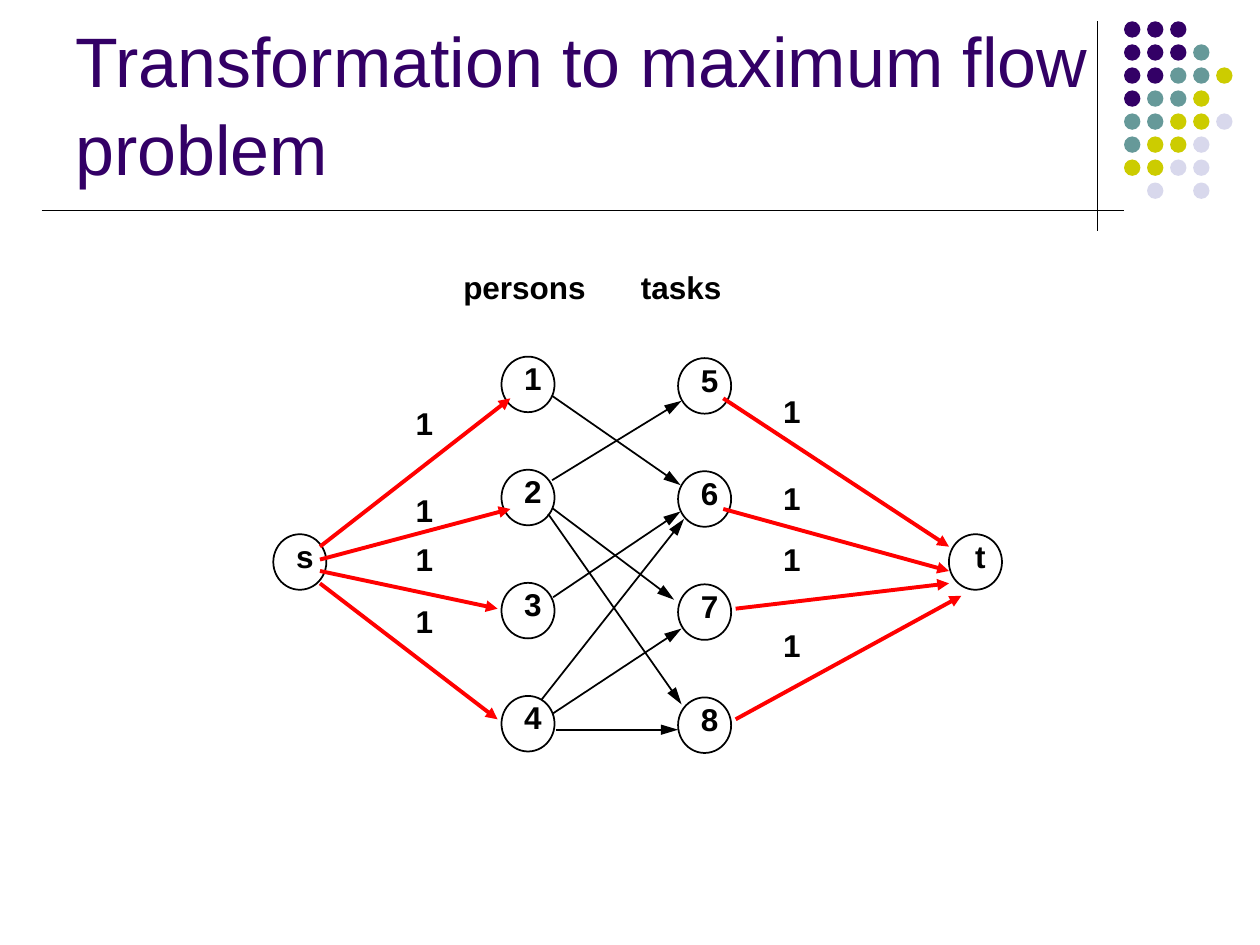
from pptx import Presentation
from pptx.dml.color import RGBColor
from pptx.enum.shapes import MSO_CONNECTOR, MSO_SHAPE
from pptx.enum.text import MSO_ANCHOR, PP_ALIGN
from pptx.oxml.ns import qn
from pptx.util import Cm, Pt
from lxml import etree

OVAL = MSO_SHAPE.OVAL
STRAIGHT = MSO_CONNECTOR.STRAIGHT
TOP, MIDDLE, BOTTOM = MSO_ANCHOR.TOP, MSO_ANCHOR.MIDDLE, MSO_ANCHOR.BOTTOM
CENTER = PP_ALIGN.CENTER

FONT = "Arial"
COLORS = {
    "ink": "000000",
    "paper": "FFFFFF",
    "flow": "FF0000",
    "purple": "330066",
    "teal": "669999",
    "olive": "CCCC00",
    "lilac": "D8D8EC",
}

# Corner ornament: one letter per dot
DOT_ROWS = ["PPP", "PPPT", "PPTTY", "PTTY", "TTYYL", "TYYL", "YYLL", " L L"]
DOT_COLORS = {"P": "purple", "T": "teal", "Y": "olive", "L": "lilac"}
DOT_LEFT, DOT_TOP, DOT_SIZE = 22.66, 0.43, 0.33
DOT_PITCH = 3.25 / (len(DOT_ROWS) - 1)

# Network geometry in centimetres
NODE_W, NODE_H, NODE_PITCH = 1.07, 1.12, 2.28
COLUMNS = [(10.11, 7.19, "1234"), (13.67, 7.22, "5678"),
           (5.51, 10.77, "s"), (19.13, 10.77, "t")]
ASSIGNMENT_EDGES = [
    (11.13, 7.98, 13.72, 9.78),    # 1 to 6
    (11.13, 9.68, 13.74, 8.08),    # 2 to 5
    (11.13, 10.24, 13.59, 12.09),  # 2 to 7
    (11.05, 10.36, 13.74, 14.2),   # 2 to 8
    (11.15, 12.04, 13.72, 10.31),  # 3 to 6
    (10.92, 14.1, 13.79, 10.46),   # 4 to 6
    (11.15, 14.38, 13.74, 12.67),  # 4 to 7
    (11.2, 14.71, 13.67, 14.71),   # 4 to 8
]
FLOW_EDGES = [
    # s to persons
    (6.45, 11.02, 10.29, 8.03),
    (6.45, 11.28, 10.29, 10.26),
    (6.45, 11.51, 10.03, 12.27),
    (6.45, 11.76, 10.03, 14.5),
    # tasks to t
    (14.58, 8.03, 19.13, 11.02),
    (14.58, 10.26, 19.13, 11.51),
    (14.83, 12.27, 19.13, 11.76),
    (14.83, 14.5, 19.38, 12.01),
]
CAPACITY_LABELS = [(8.13, (8.03, 9.78, 10.77, 12.01)),
                   (15.54, (7.77, 9.53, 10.77, 12.5))]


def rgb(name):
    return RGBColor.from_string(COLORS[name])


def style_text(p, text, size, color, bold):
    p.text = text
    p.font.name = FONT
    p.font.size = Pt(size)
    p.font.bold = bold
    p.font.color.rgb = rgb(color)


def add_text(slide, x, y, w, h, text, size=18, color="ink", bold=True,
             anchor=TOP):
    tf = slide.shapes.add_textbox(Cm(x), Cm(y), Cm(w), Cm(h)).text_frame
    tf.word_wrap = True
    tf.vertical_anchor = anchor
    style_text(tf.paragraphs[0], text, size, color, bold)
    return tf


def add_oval(slide, x, y, w, h, fill):
    sp = slide.shapes.add_shape(OVAL, Cm(x), Cm(y), Cm(w), Cm(h))
    sp.shadow.inherit = False
    sp.fill.solid()
    sp.fill.fore_color.rgb = rgb(fill)
    sp.line.fill.background()
    return sp


def add_node(slide, x, y, name):
    sp = add_oval(slide, x, y, NODE_W, NODE_H, "paper")
    sp.line.color.rgb = rgb("ink")
    sp.line.width = Pt(1)
    tf = sp.text_frame
    tf.word_wrap = False
    tf.vertical_anchor = MIDDLE
    # The name sits slightly right of and above the centre
    tf.margin_left, tf.margin_right = Cm(0.2), 0
    tf.margin_top, tf.margin_bottom = 0, Cm(0.26)
    p = tf.paragraphs[0]
    p.alignment = CENTER
    style_text(p, name, 18, "ink", True)


def add_line(slide, x1, y1, x2, y2, color="ink", width=0.75, head=None):
    line = slide.shapes.add_connector(STRAIGHT, Cm(x1), Cm(y1), Cm(x2), Cm(y2))
    line.line.color.rgb = rgb(color)
    line.line.width = Pt(width)
    if head:
        ln = line.line._get_or_add_ln()
        etree.SubElement(ln, qn("a:tailEnd"), type="triangle", w="med", len=head)
    etree.SubElement(line._element.spPr, qn("a:effectLst"))


def add_dots(slide):
    for i, row in enumerate(DOT_ROWS):
        for j, letter in enumerate(row):
            if letter in DOT_COLORS:
                add_oval(slide, DOT_LEFT + j * DOT_PITCH, DOT_TOP + i * DOT_PITCH,
                         DOT_SIZE, DOT_SIZE, DOT_COLORS[letter])


def add_network(slide):
    # Nodes
    for x, top, names in COLUMNS:
        for i, name in enumerate(names):
            add_node(slide, x, top + i * NODE_PITCH, name)
    # Edges
    for edge in ASSIGNMENT_EDGES:
        add_line(slide, *edge, width=1, head="lg")
    for edge in FLOW_EDGES:
        add_line(slide, *edge, color="flow", width=2.25, head="med")
    # Column headings and capacities
    add_text(slide, 9.09, 5.28, 3.58, 1.02, "persons")
    add_text(slide, 12.67, 5.28, 3.1, 1.02, "tasks")
    for x, tops in CAPACITY_LABELS:
        for y in tops:
            add_text(slide, x, y, 0.71, 1.02, "1")


def main():
    prs = Presentation()
    prs.slide_width, prs.slide_height = Cm(25.4), Cm(19.05)
    s = prs.slides.add_slide(prs.slide_layouts[6])

    # Frame lines and ornament
    add_line(s, 22.12, 0.43, 22.12, 4.65)
    add_dots(s)
    add_line(s, 0.84, 4.24, 22.66, 4.24)

    # Title
    tf = add_text(s, 1.27, 0.33, 20.96, 3.61,
                  "Transformation to maximum flow problem",
                  size=40, color="purple", bold=False, anchor=BOTTOM)
    tf.paragraphs[0].line_spacing = 1.04

    add_network(s)
    prs.save("out.pptx")


if __name__ == "__main__":
    main()
